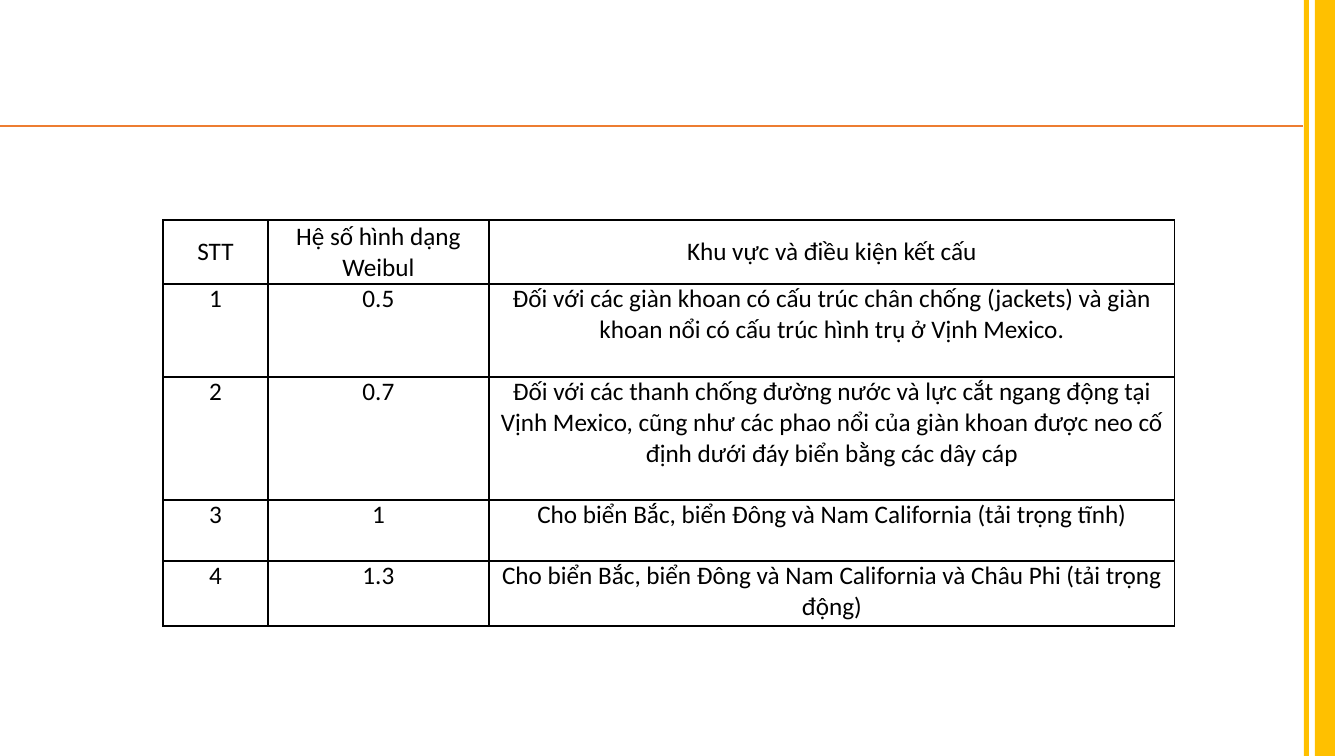
import pptx
import pptx.util
import pptx.dml.color
import pptx.enum.shapes
import pptx.enum.text
import pptx.oxml
import pptx.oxml.ns
import lxml.etree

ROWS = [
    ("STT", "Hệ số hình dạng Weibul", "Khu vực và điều kiện kết cấu"),
    ("1", "0.5", "Đối với các giàn khoan có cấu trúc chân chống (jackets) và giàn khoan nổi có cấu trúc hình trụ ở Vịnh Mexico."),
    ("2", "0.7", "Đối với các thanh chống đường nước và lực cắt ngang động tại Vịnh Mexico, cũng như các phao nổi của giàn khoan được neo cố định dưới đáy biển bằng các dây cáp"),
    ("3", "1", "Cho biển Bắc, biển Đông và Nam California (tải trọng tĩnh)"),
    ("4", "1.3", "Cho biển Bắc, biển Đông và Nam California và Châu Phi (tải trọng động)"),
]
COL_WIDTHS = [105, 221, 686]
ROW_HEIGHTS = [64, 93, 123, 61, 65]
TABLE_LEFT, TABLE_TOP = 163, 220
SLIDE_W, SLIDE_H = 1344, 756
BARS = [(1315, 20), (1304, 5)]
RULE_Y, RULE_END = 126, 1303
CELL_INSET = 7

BLACK = pptx.dml.color.RGBColor(0x00, 0x00, 0x00)
GOLD = pptx.dml.color.RGBColor(0xFF, 0xC0, 0x00)
ORANGE = pptx.dml.color.RGBColor(0xED, 0x7D, 0x31)


def px(n):
    return pptx.util.Emu(round(n * 914400 / 100.8))


def add_borders(cell):
    tcPr = cell._tc.get_or_add_tcPr()
    for i, side in enumerate(("lnL", "lnR", "lnT", "lnB")):
        ln = pptx.oxml.parse_xml(
            f'<a:{side} {pptx.oxml.ns.nsdecls("a")} w="{pptx.util.Pt(1)}">'
            f'<a:solidFill><a:srgbClr val="{BLACK}"/></a:solidFill></a:{side}>')
        tcPr.insert(i, ln)


def format_cell(cell, text, is_header):
    cell.fill.background()
    add_borders(cell)
    cell.margin_left = cell.margin_right = px(CELL_INSET)
    cell.margin_top = cell.margin_bottom = 0
    anchor = pptx.enum.text.MSO_ANCHOR
    cell.vertical_anchor = anchor.MIDDLE if is_header else anchor.TOP
    cell.text_frame.text = text
    p = cell.text_frame.paragraphs[0]
    p.alignment = pptx.enum.text.PP_ALIGN.CENTER
    font = p.runs[0].font
    font.name = "Calibri"
    font.size = pptx.util.Pt(18)
    font.bold = False
    font.color.rgb = BLACK


def add_frame(s):
    rule = s.shapes.add_connector(
        pptx.enum.shapes.MSO_CONNECTOR.STRAIGHT, 0, px(RULE_Y), px(RULE_END), px(RULE_Y))
    rule.line.color.rgb = ORANGE
    rule.line.width = pptx.util.Pt(1)
    lxml.etree.SubElement(rule._element.spPr, pptx.oxml.ns.qn("a:effectLst"))
    for left, width in BARS:
        bar = s.shapes.add_shape(
            pptx.enum.shapes.MSO_SHAPE.RECTANGLE, px(left), 0, px(width), px(SLIDE_H))
        bar.shadow.inherit = False
        bar.fill.solid()
        bar.fill.fore_color.rgb = GOLD
        bar.line.fill.background()


def add_weibull_table(s):
    table = s.shapes.add_table(
        len(ROWS), len(COL_WIDTHS), px(TABLE_LEFT), px(TABLE_TOP),
        px(sum(COL_WIDTHS)), px(sum(ROW_HEIGHTS))).table
    table.first_row = False
    table.horz_banding = False
    for col, width in zip(table.columns, COL_WIDTHS):
        col.width = px(width)
    for i, (row, height, texts) in enumerate(zip(table.rows, ROW_HEIGHTS, ROWS)):
        row.height = px(height)
        for cell, text in zip(row.cells, texts):
            format_cell(cell, text, i == 0)


def main():
    prs = pptx.Presentation()
    prs.slide_width, prs.slide_height = px(SLIDE_W), px(SLIDE_H)
    s = prs.slides.add_slide(prs.slide_layouts[6])
    add_frame(s)
    add_weibull_table(s)
    prs.save("out.pptx")


if __name__ == "__main__":
    main()
